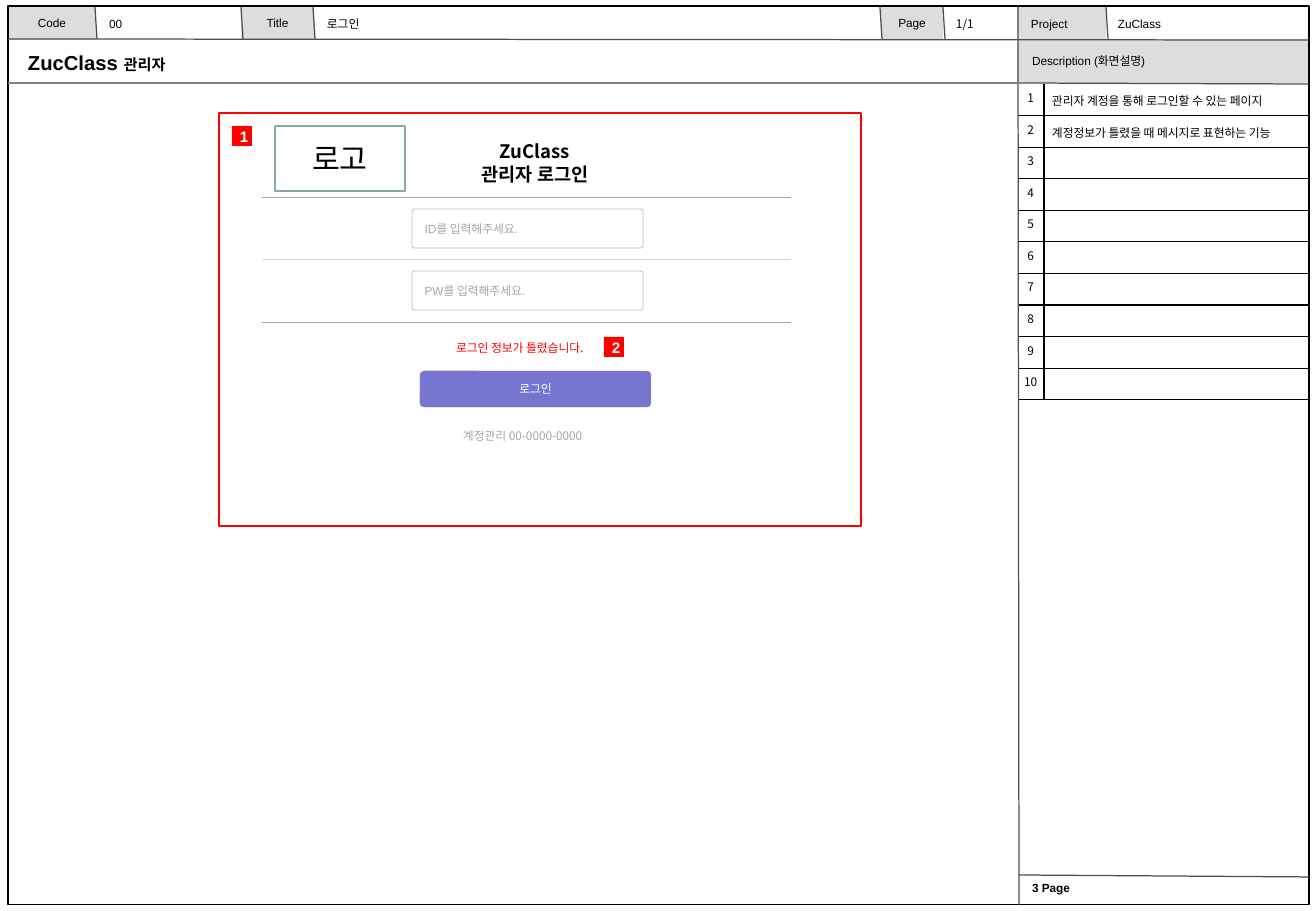
from dataclasses import dataclass
from typing import NamedTuple
from lxml.etree import SubElement
from pptx import Presentation
from pptx.dml.color import RGBColor
from pptx.enum.shapes import MSO_CONNECTOR, MSO_SHAPE
from pptx.enum.text import MSO_ANCHOR, PP_ALIGN
from pptx.oxml import parse_xml
from pptx.oxml.ns import nsdecls, qn
from pptx.util import Emu, Pt

SCALE = 914400 / 121.5


@dataclass(frozen=True)
class Theme:
    latin: str = "Arial"
    hangul: str = "Noto Sans CJK KR"
    black: str = "000000"
    white: str = "FFFFFF"
    red: str = "FF0000"
    tab: str = "DDDDDD"
    dark: str = "4D4D4D"
    mid: str = "7F7F7F"
    hint: str = "A5A5A5"
    edge: str = "BFBFBF"
    pale: str = "D8D8D8"
    teal: str = "8BA6A8"
    violet: str = "7676D1"
    small: int = 7
    label: int = 9
    head: int = 11
    title: int = 12
    logo: int = 18
    thin: float = 0.25
    fine: float = 0.5
    line: float = 0.75


T = Theme()


class Run(NamedTuple):
    text: str
    font: str = T.latin
    size: int = T.small
    color: str = T.black
    bold: bool = False


class Box(NamedTuple):
    x: int
    y: int
    w: int
    h: int
    lines: tuple[tuple[Run, ...], ...] = ()
    fill: str | None = None
    edge: str | None = None
    weight: float = T.line
    center: bool = False
    pad: tuple[int, int, int, int] = (12, 6, 12, 6)
    round: float = 0


class Rule(NamedTuple):
    x1: int
    y1: int
    x2: int
    y2: int
    color: str = T.dark
    weight: float = T.line


def px(n: float) -> Emu:
    return Emu(round(n * SCALE))


def rgb(color: str) -> RGBColor:
    return RGBColor.from_string(color)


def add_run(para, item: Run) -> None:
    run = para.add_run()
    run.text = item.text
    font = run.font
    font.name, font.size, font.bold = item.font, Pt(item.size), item.bold
    font.color.rgb = rgb(item.color)
    east = parse_xml(f'<a:ea {nsdecls("a")} typeface="{T.hangul}"/>')
    font._element.find(qn("a:latin")).addnext(east)


def draw_box(slide, box: Box) -> None:
    area = [px(n) for n in box[:4]]
    if box.fill or box.edge:
        kind = MSO_SHAPE.ROUNDED_RECTANGLE if box.round else MSO_SHAPE.RECTANGLE
        shape = slide.shapes.add_shape(kind, *area)
        shape.shadow.inherit = False
        if box.round:
            shape.adjustments[0] = box.round
        if box.fill:
            shape.fill.solid()
            shape.fill.fore_color.rgb = rgb(box.fill)
        else:
            shape.fill.background()
        if box.edge:
            shape.line.color.rgb = rgb(box.edge)
            shape.line.width = Pt(box.weight)
        else:
            shape.line.fill.background()
    else:
        shape = slide.shapes.add_textbox(*area)
    frame = shape.text_frame
    frame.word_wrap = True
    frame.vertical_anchor = MSO_ANCHOR.MIDDLE
    (frame.margin_left, frame.margin_top,
     frame.margin_right, frame.margin_bottom) = map(px, box.pad)
    for i, runs in enumerate(box.lines):
        para = frame.add_paragraph() if i else frame.paragraphs[0]
        para.alignment = PP_ALIGN.CENTER if box.center else PP_ALIGN.LEFT
        for run in runs:
            add_run(para, run)


def draw_rule(slide, rule: Rule) -> None:
    ends = [px(n) for n in rule[:4]]
    line = slide.shapes.add_connector(MSO_CONNECTOR.STRAIGHT, *ends)
    line.line.color.rgb = rgb(rule.color)
    line.line.width = Pt(rule.weight)
    SubElement(line._element.spPr, qn("a:effectLst"))


def draw_notes(slide, notes: tuple[str, ...], count: int) -> None:
    table = slide.shapes.add_table(count, 2, px(1018), px(84), px(290), px(316)).table
    table.first_row = table.horz_banding = False
    style = table._tbl.tblPr.find(qn("a:tableStyleId"))
    style.text = "{2D5ABB26-0587-4C30-8999-92F81FD0307C}"
    for col, width in zip(table.columns, (26, 264)):
        col.width = px(width)
    for i, row in enumerate(table.rows):
        row.height = px(316 / count)
        texts = (str(i + 1), notes[i] if i < len(notes) else "")
        for j, (cell, text) in enumerate(zip(row.cells, texts)):
            cell.margin_left = cell.margin_top = px(8 if j else 5)
            cell.margin_right = cell.margin_bottom = px(6)
            para = cell.text_frame.paragraphs[0]
            para.alignment = PP_ALIGN.LEFT if j else PP_ALIGN.CENTER
            if text:
                add_run(para, Run(text, T.hangul))
            else:
                SubElement(para._p, qn("a:endParaRPr"), sz=str(T.small * 100))
            cell.fill.background()
            for k, side in enumerate(("lnL" if j else "lnR", "lnB")):
                cell._tc.tcPr.insert(k, parse_xml(
                    f'<a:{side} {nsdecls("a")} w="{Pt(T.line)}"><a:solidFill>'
                    f'<a:srgbClr val="{T.black}"/></a:solidFill></a:{side}>'))


def tab(x: int, w: int, text: str) -> Box:
    return Box(x, 6, w, 34, ((Run(text),),), T.tab, center=True)


def value(x: int, w: int, text: str, font: str = T.latin) -> Box:
    return Box(x, 10, w, 28, ((Run(text, font),),))


def field(y: int, name: str) -> Box:
    runs = (Run(name, color=T.hint), Run("를 입력해주세요", T.hangul, color=T.hint),
            Run(".", color=T.hint))
    return Box(412, y, 231, 39, (runs,), T.white, T.edge, T.fine, round=0.06)


def badge(x: int, y: int, text: str) -> Box:
    run = Run(text, size=T.label, color=T.white, bold=True)
    return Box(x, y, 20, 20, ((run,),), T.red, center=True, pad=(4, 0, 0, 0))


HEAD = (
    Box(1017, 39, 291, 44, ((Run("Description (화면설명)"),),), T.tab, pad=(15, 6, 12, 6)),
    tab(8, 88, "Code"), tab(241, 73, "Title"), tab(881, 62, "Page"),
    Box(1017, 6, 89, 34, fill=T.tab),
    value(1019, 88, "Project"), value(1106, 197, "ZuClass"), value(97, 140, "00"),
    value(315, 561, "로그인", T.hangul), value(944, 73, "1/1", T.hangul),
    Box(16, 44, 190, 36, ((Run("ZucClass ", size=T.title, bold=True),
                           Run("관리자", T.hangul, T.label, bold=True)),)),
    Box(1022, 876, 282, 24, ((Run("3 Page", bold=True),),), pad=(10, 5, 10, 5)),
    Box(8, 6, 1301, 899, edge=T.black),
)
LOGIN = (
    Box(219, 113, 642, 413, fill=T.white, edge=T.red),
    Box(275, 126, 130, 65, ((Run("로고", size=T.logo),),), T.white, T.teal, center=True),
    Box(459, 134, 152, 57, tuple((Run(text, T.hangul, T.head, bold=True),)
                                 for text in ("ZuClass", "관리자 로그인")), center=True),
    field(209, "ID"), field(271, "PW"),
    Box(444, 334, 165, 27, ((Run("로그인 정보가 틀렸습니다.", T.hangul, color=T.red),),)),
    Box(420, 371, 231, 36, ((Run("로그인", T.hangul, color=T.white),),),
        T.violet, T.hint, T.thin, True, round=0.11),
    Box(451, 422, 180, 27, ((Run("계정관리 00-0000-0000", T.hangul, color=T.hint),),)),
    badge(232, 126, "1"), badge(604, 337, "2"),
)
RULES = (
    Rule(1018, 6, 1019, 905), Rule(8, 39, 1309, 40),
    Rule(1019, 875, 1309, 877), Rule(1019, 83, 1309, 84),
    Rule(8, 83, 1018, 83, T.mid),
    *(Rule(x, 7, x + 2, 39) for x in (95, 241, 313, 880, 943, 1106)),
    *(Rule(262, y, 791, y, color, T.thin)
      for y, color in ((197, T.hint), (259, T.pale), (322, T.hint))),
)
NOTES = ("관리자 계정을 통해 로그인할 수 있는 페이지", "계정정보가 틀렸을 때 메시지로 표현하는 기능")

deck = Presentation()
deck.slide_width, deck.slide_height = px(1316), px(911)
page = deck.slides.add_slide(deck.slide_layouts[6])
for box in HEAD + LOGIN:
    draw_box(page, box)
draw_notes(page, NOTES, 10)
for rule in RULES:
    draw_rule(page, rule)
deck.save("out.pptx")
